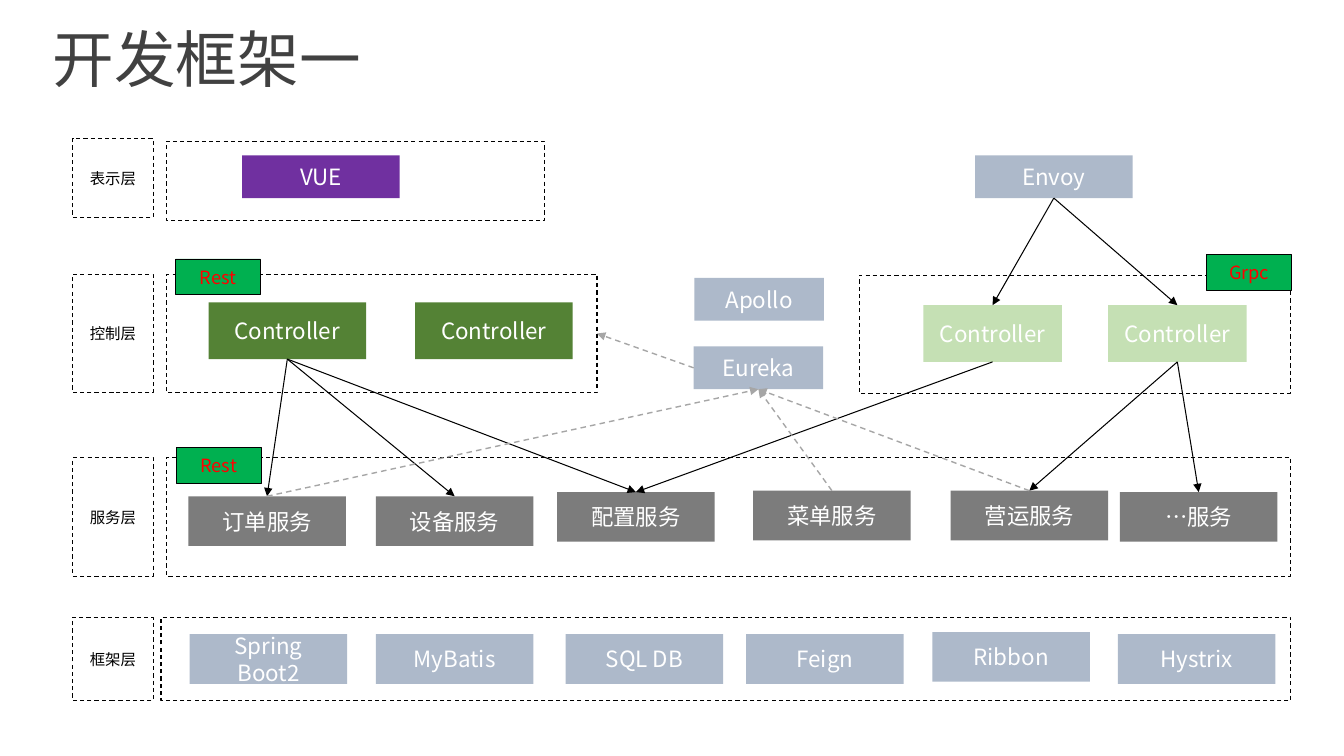
from lxml import etree
from pptx import Presentation
from pptx.dml.color import RGBColor
from pptx.enum import dml, shapes, text
from pptx.oxml import ns
from pptx.util import Pt

FONT = "Noto Sans CJK SC"
COLORS = {
    "title": "414141", "white": "FFFFFF", "black": "000000", "red": "FF0000",
    "purple": "7030A0", "green": "548235", "pale green": "C5E0B4",
    "blue": "ADB9CA", "gray": "7C7C7C", "tag": "00B050", "registry": "A6A6A6",
}

TITLE = "开发框架一"
LAYERS = [("表示层", 99, 56.5), ("控制层", 196, 84.5),
          ("服务层", 327, 84.5), ("框架层", 441, 59.5)]  # label, top, height
FRAMES = {  # left, top, width, height
    "view": (119, 101, 270, 56.5),
    "rest": (119, 196, 307.5, 84.5),
    "grpc": (614, 196.5, 307.5, 84.5),
    "services": (119, 327, 803, 84.5),
    "frameworks": (115, 441, 807, 59.5),
}
# (width, height, fill): {key: (label, left, top)}
BOXES = {
    (112.5, 30.5, "purple"): {"vue": ("VUE", 173, 111)},
    (112.5, 30.5, "blue"): {"envoy": ("Envoy", 696.5, 111)},
    (92.5, 30.5, "blue"): {
        "apollo": ("Apollo", 496, 198.5),
        "eureka": ("Eureka", 495.5, 247.5),
    },
    (112.5, 40.5, "green"): {
        "rest 1": ("Controller", 149, 216),
        "rest 2": ("Controller", 296.5, 216),
    },
    (99, 40.5, "pale green"): {
        "grpc 1": ("Controller", 659.5, 218),
        "grpc 2": ("Controller", 791.5, 218),
    },
    (112.5, 35.5, "gray"): {
        "order": ("订单服务", 134.5, 354.5),
        "device": ("设备服务", 268.5, 354.5),
        "config": ("配置服务", 398, 351.5),
        "menu": ("菜单服务", 538, 350.5),
        "operation": ("营运服务", 679, 350.5),
        "other": ("…服务", 800, 351.5),
    },
    (112.5, 35.5, "blue"): {
        "spring": ("Spring Boot2", 135.5, 453),
        "mybatis": ("MyBatis", 268.5, 453),
        "database": ("SQL DB", 404, 453),
        "feign": ("Feign", 533, 453),
        "ribbon": ("Ribbon", 666, 451.5),
        "hystrix": ("Hystrix", 798.5, 453),
    },
}
TAGS = [("Rest", 126, 319.5), ("Rest", 125.5, 185), ("Grpc", 862, 182)]
CALLS = [("envoy", "grpc 1"), ("envoy", "grpc 2"), ("rest 1", "order"),
         ("rest 1", "device"), ("rest 1", "config"), ("grpc 1", "config"),
         ("grpc 2", "operation"), ("grpc 2", "other")]
REGISTERED = ["order", "menu", "operation"]
TOP, LEFT, BOTTOM, RIGHT = range(4)  # connection sites of a rectangle


def rgb(name):
    return RGBColor.from_string(COLORS[name])


def add_run(paragraph, words, size, color):
    run = paragraph.add_run()
    run.text = words
    run.font.size = Pt(size)
    run.font.name = FONT
    run.font.color.rgb = rgb(color)
    east_asian = etree.SubElement(run._r.get_or_add_rPr(), ns.qn("a:ea"))
    east_asian.set("typeface", FONT)


def set_margins(frame, side, vertical):
    frame.margin_left = frame.margin_right = Pt(side)
    frame.margin_top = frame.margin_bottom = Pt(vertical)
    frame.vertical_anchor = text.MSO_ANCHOR.MIDDLE
    frame.word_wrap = True


def add_box(slide, place, words="", size=16, color="white", fill=None,
            border=None, dashed=False):
    box = slide.shapes.add_shape(shapes.MSO_SHAPE.RECTANGLE, *map(Pt, place))
    box.shadow.inherit = False
    if fill:
        box.fill.solid()
        box.fill.fore_color.rgb = rgb(fill)
    else:
        box.fill.background()
    if border:
        box.line.color.rgb = rgb("black")
        box.line.width = Pt(border)
        if dashed:
            box.line.dash_style = dml.MSO_LINE.DASH
    else:
        box.line.fill.background()
    if words:
        set_margins(box.text_frame, 9.6, 4.8)
        paragraph = box.text_frame.paragraphs[0]
        paragraph.alignment = text.PP_ALIGN.CENTER
        add_run(paragraph, words, size, color)
    return box


def add_arrow(slide, source, source_site, target, target_site,
              color="black", width=0.75, dashed=False):
    arrow = slide.shapes.add_connector(shapes.MSO_CONNECTOR.STRAIGHT, 0, 0, 0, 0)
    arrow.begin_connect(source, source_site)
    arrow.end_connect(target, target_site)
    arrow.line.color.rgb = rgb(color)
    arrow.line.width = Pt(width)
    if dashed:
        arrow.line.dash_style = dml.MSO_LINE.DASH
    head = etree.SubElement(arrow.line._get_or_add_ln(), ns.qn("a:tailEnd"))
    head.set("type", "triangle")
    etree.SubElement(arrow._element.spPr, ns.qn("a:effectLst"))


def main():
    deck = Presentation()
    deck.slide_width, deck.slide_height = Pt(960), Pt(540)
    slide = deck.slides.add_slide(deck.slide_layouts[5])

    # Title
    title = slide.shapes.title
    title.left, title.top, title.width, title.height = map(Pt, (28, 6, 740, 77))
    set_margins(title.text_frame, 9.6, 0)
    title.text_frame.auto_size = text.MSO_AUTO_SIZE.NONE
    heading = title.text_frame.paragraphs[0]
    heading.alignment = text.PP_ALIGN.LEFT
    heading.line_spacing = 0.9
    add_run(heading, TITLE, 44, "title")

    # Layer labels and dashed frames
    for label, top, height in LAYERS:
        add_box(slide, (52, top, 57.5, height), label, 11, "black",
                border=0.75, dashed=True)
    parts = {}
    for key, place in FRAMES.items():
        parts[key] = add_box(slide, place, border=0.75, dashed=True)

    # Components
    for (width, height, fill), members in BOXES.items():
        for key, (label, left, top) in members.items():
            parts[key] = add_box(slide, (left, top, width, height), label, fill=fill)

    # Calls run downwards, registrations lead to and from Eureka
    for caller, callee in CALLS:
        add_arrow(slide, parts[caller], BOTTOM, parts[callee], TOP)
    registry = {"color": "registry", "width": 1, "dashed": True}
    for service in REGISTERED:
        add_arrow(slide, parts[service], TOP, parts["eureka"], BOTTOM, **registry)
    add_arrow(slide, parts["eureka"], LEFT, parts["rest"], RIGHT, **registry)

    # Protocol tags
    for label, left, top in TAGS:
        add_box(slide, (left, top, 60.5, 25.5), label, 13, "red", "tag", 0.5)

    deck.save("out.pptx")


if __name__ == "__main__":
    main()
